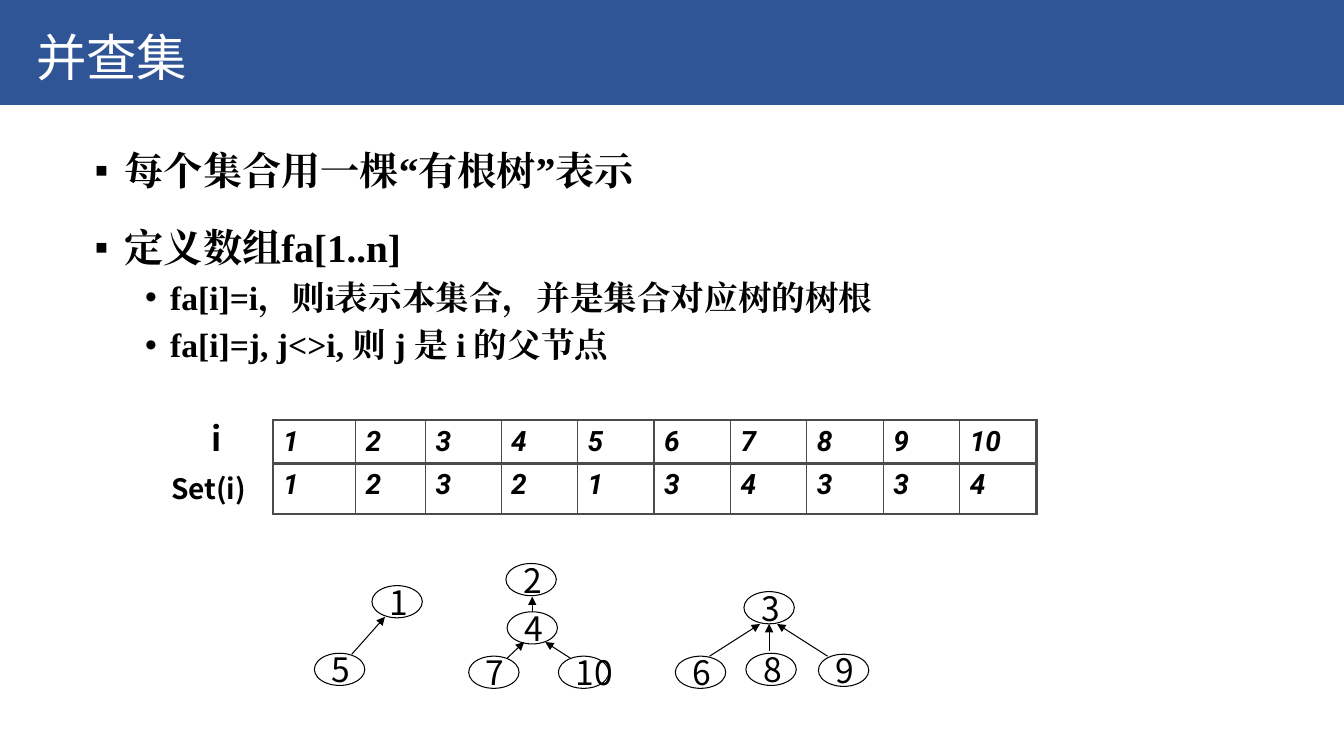
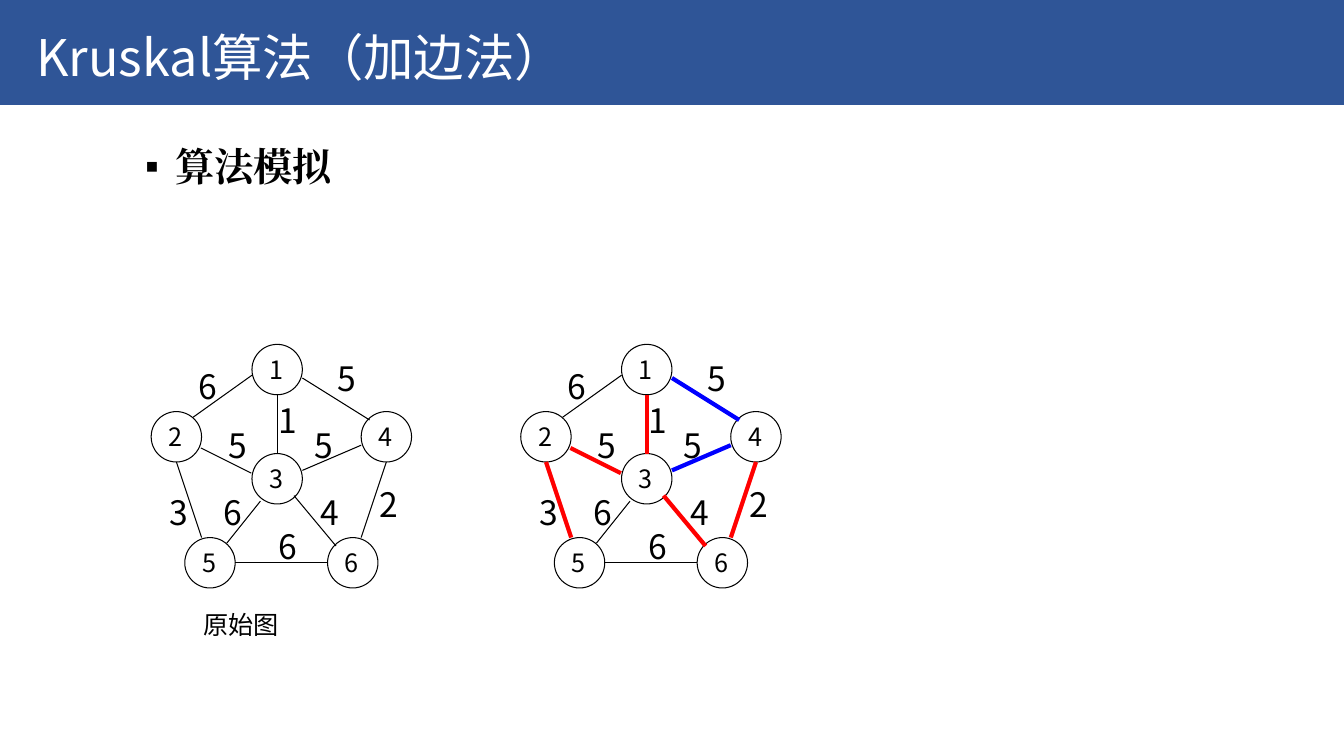
"""Build two slides on disjoint sets and Kruskal's algorithm."""
from dataclasses import dataclass
from typing import Optional

from lxml.etree import SubElement
from pptx import Presentation
from pptx.dml.color import RGBColor
from pptx.enum.shapes import MSO_CONNECTOR, MSO_SHAPE
from pptx.enum.text import MSO_ANCHOR
from pptx.oxml.ns import qn
from pptx.slide import Slide
from pptx.text.text import TextFrame
from pptx.util import Pt

BLACK = RGBColor(0x00, 0x00, 0x00)
WHITE = RGBColor(0xFF, 0xFF, 0xFF)
BAND = RGBColor(0x2F, 0x55, 0x97)
GRID = RGBColor(0x4B, 0x4B, 0x4B)
RED = RGBColor(0xFF, 0x00, 0x00)
BLUE = RGBColor(0x00, 0x00, 0xFF)
SANS, SERIF, TABLE_FONT = "Noto Sans CJK SC", "Times New Roman", "Roboto"
WIDTH, HEIGHT = 960, 540
THIN, THICK, FRAME = 0.75, 3, 2.25


@dataclass(frozen=True)
class Node:
    name: str
    x: float
    y: float


@dataclass(frozen=True)
class Edge:
    x1: float
    y1: float
    x2: float
    y2: float


@dataclass(frozen=True)
class Link:
    ends: str
    edge: Edge
    weight: Node


@dataclass(frozen=True)
class Level:
    bullet: str
    size: float
    margin: float
    hang: float
    line: float
    before: float


LEVELS = (Level("▪", 28, 21.6, 21.6, 1.2, 14.4), Level("•", 24, 54, 18, 1, 5))

TREE_NODES = (
    Node("1", 265.7, 418.3), Node("5", 224.6, 466.6),
    Node("2", 361.4, 402.5), Node("4", 362.2, 437),
    Node("7", 334.8, 468.7), Node("10", 398.9, 468.7),
    Node("3", 531.4, 422.6), Node("6", 482.4, 468.7),
    Node("8", 532.8, 466.6), Node("9", 584.6, 467.3),
)
TREE_EDGES = (
    Edge(251.3, 467.3, 275, 440.6),
    Edge(362.2, 470.2, 374.4, 458.6),
    Edge(407.5, 470.2, 389.5, 458.6),
    Edge(380.2, 437, 380.2, 426.2),
    Edge(506.9, 468.7, 542.9, 445.7),
    Edge(549.4, 465.1, 549.4, 445.7),
    Edge(591.1, 468.7, 555.1, 445.7),
)
GRAPH_NODES = (
    Node("1", 180, 246), Node("2", 108, 294), Node("3", 180, 324),
    Node("4", 258, 294), Node("5", 132, 384), Node("6", 234, 384),
)
GRAPH_LINKS = (
    Link("1-2", Edge(138, 298, 180, 268), Node("6", 134.6, 258)),
    Link("3-5", Edge(162, 388, 186, 358), Node("6", 152.6, 348)),
    Link("3-4", Edge(216, 336, 258, 318), Node("5", 217.4, 300)),
    Link("2-3", Edge(143.5, 320, 179.5, 338), Node("5", 156, 300)),
    Link("1-4", Edge(216, 270, 264, 300), Node("5", 234, 252)),
    Link("4-6", Edge(258, 384, 276, 330), Node("2", 264, 342)),
    Link("2-5", Edge(144, 384, 126, 330), Node("3", 114, 348)),
    Link("5-6", Edge(168, 402, 234, 402), Node("6", 192, 372)),
    Link("1-3", Edge(198, 324, 198, 282), Node("1", 192, 282)),
    Link("3-6", Edge(210, 354, 240, 390), Node("4", 222, 348)),
)
MARKED = {
    **dict.fromkeys(("1-3", "2-3", "2-5", "3-6", "4-6"), RED),
    **dict.fromkeys(("1-4", "3-4"), BLUE),
}


def write(tf: TextFrame, text: str, *, size: float, font: str = SANS,
          color: RGBColor = BLACK, bold: bool = False, italic: bool = False,
          level: Optional[int] = None) -> None:
    p = tf.paragraphs[0]
    first = not p.runs
    if not first:
        p = tf.add_paragraph()
    if level is not None:
        style = LEVELS[level]
        p.level = level
        p.line_spacing = style.line
        p.space_before = Pt(0 if first else style.before)
        pPr = p._p.get_or_add_pPr()
        pPr.set("marL", str(Pt(style.margin)))
        pPr.set("indent", str(-Pt(style.hang)))
        SubElement(pPr, qn("a:buFont"), typeface="Arial")
        SubElement(pPr, qn("a:buChar"), char=style.bullet)
    r = p.add_run()
    r.text = text
    f = r.font
    f.size, f.bold, f.italic = Pt(size), bold, italic
    f.color.rgb = color
    f.name = font
    SubElement(r._r.get_or_add_rPr(), qn("a:ea"), typeface=font)


def add_text(s: Slide, x: float, y: float, w: float, h: float) -> TextFrame:
    tf = s.shapes.add_textbox(Pt(x), Pt(y), Pt(w), Pt(h)).text_frame
    tf.word_wrap = True
    return tf


def add_node(s: Slide, node: Node, w: float, h: float, size: float,
             fill: Optional[RGBColor] = None, dx: float = 0) -> None:
    sp = s.shapes.add_shape(MSO_SHAPE.OVAL, Pt(node.x + dx), Pt(node.y), Pt(w), Pt(h))
    sp.shadow.inherit = False
    if fill is None:
        sp.fill.background()
    else:
        sp.fill.solid()
        sp.fill.fore_color.rgb = fill
    sp.line.color.rgb = BLACK
    sp.line.width = Pt(THIN)
    tf = sp.text_frame
    tf.word_wrap = False
    tf.vertical_anchor = MSO_ANCHOR.MIDDLE
    tf.paragraphs[0].alignment = 1
    write(tf, node.name, size=size)


def add_edge(s: Slide, edge: Edge, color: RGBColor = BLACK, width: float = THIN,
             arrow: bool = False, dx: float = 0) -> None:
    c = s.shapes.add_connector(MSO_CONNECTOR.STRAIGHT, Pt(edge.x1 + dx), Pt(edge.y1),
                               Pt(edge.x2 + dx), Pt(edge.y2))
    c.line.color.rgb = color
    c.line.width = Pt(width)
    if arrow:
        SubElement(c.line._get_or_add_ln(), qn("a:tailEnd"), type="triangle")
    SubElement(c._element.spPr, qn("a:effectLst"))


def add_slide(prs: Presentation, title: str) -> Slide:
    s = prs.slides.add_slide(prs.slide_layouts[6])
    band = s.shapes.add_shape(MSO_SHAPE.RECTANGLE, 0, 0, Pt(WIDTH), Pt(75))
    band.shadow.inherit = False
    band.fill.solid()
    band.fill.fore_color.rgb = BAND
    band.line.fill.background()
    write(add_text(s, 18.7, 15.1, 930, 51), title, size=36, color=WHITE)
    return s


def add_body(s: Slide, x: float, y: float, h: float,
             lines: tuple[tuple[int, str], ...]) -> None:
    tf = add_text(s, x, y, 757, h)
    for level, text in lines:
        write(tf, text, size=LEVELS[level].size, font=SERIF, bold=True, level=level)


def add_set_table(s: Slide) -> None:
    rows = (range(1, 11), (1, 2, 3, 2, 1, 3, 4, 3, 3, 4))
    widths = (59, 50, 54) + (54.6,) * 7
    table = s.shapes.add_table(len(rows), len(widths), Pt(195), Pt(300),
                               Pt(sum(widths)), Pt(67)).table
    table.first_row = table.horz_banding = False
    for column, width in zip(table.columns, widths):
        column.width = Pt(width)
    for row, height in zip(table.rows, (31, 36)):
        row.height = Pt(height)
    last = len(widths) - 1
    for i, values in enumerate(rows):
        for j, value in enumerate(values):
            cell = table.cell(i, j)
            sides = {"L": FRAME if j == 0 else 1, "R": FRAME if j == last else 1,
                     "T": FRAME, "B": FRAME}
            for side, width in sides.items():
                ln = SubElement(cell._tc.get_or_add_tcPr(), qn(f"a:ln{side}"),
                                w=str(Pt(width)))
                fill = SubElement(ln, qn("a:solidFill"))
                SubElement(fill, qn("a:srgbClr"), val=str(GRID))
            cell.fill.background()
            write(cell.text_frame, str(value), size=20, font=TABLE_FONT,
                  bold=True, italic=True)


def add_graph(s: Slide, dx: float, marked: dict[str, RGBColor]) -> None:
    for node in GRAPH_NODES:
        add_node(s, node, 36, 36, 18, dx=dx)
    for link in GRAPH_LINKS:
        add_edge(s, link.edge, marked.get(link.ends, BLACK),
                 THICK if link.ends in marked else THIN, dx=dx)
        label = link.weight
        write(add_text(s, label.x + dx, label.y, 24, 36), label.name, size=24)


def build_sets(prs: Presentation) -> None:
    s = add_slide(prs, "并查集")
    add_body(s, 60.5, 94.3, 191.5, (
        (0, "每个集合用一棵“有根树”表示"),
        (0, "定义数组fa[1..n]"),
        (1, "fa[i]=i，则i表示本集合，并是集合对应树的树根"),
        (1, "fa[i]=j, j<>i, 则 j 是 i 的父节点"),
    ))
    add_set_table(s)
    write(add_text(s, 144, 295.2, 21, 36), "i", size=24, bold=True)
    write(add_text(s, 115.2, 333.4, 102, 31), "Set(i)", size=20, bold=True)
    for node in TREE_NODES:
        add_node(s, node, 36, 23, 24, fill=WHITE)
    for edge in TREE_EDGES:
        add_edge(s, edge, arrow=True)


def build_kruskal(prs: Presentation) -> None:
    s = add_slide(prs, "Kruskal算法（加边法）")
    add_body(s, 96.5, 91.4, 336, ((0, "算法模拟"),))
    add_graph(s, 0, {})
    add_graph(s, 264, MARKED)
    write(add_text(s, 138, 432, 126, 41), "原始图", size=18)


def main() -> None:
    prs = Presentation()
    prs.slide_width, prs.slide_height = Pt(WIDTH), Pt(HEIGHT)
    build_sets(prs)
    build_kruskal(prs)
    prs.save("out.pptx")


if __name__ == "__main__":
    main()
